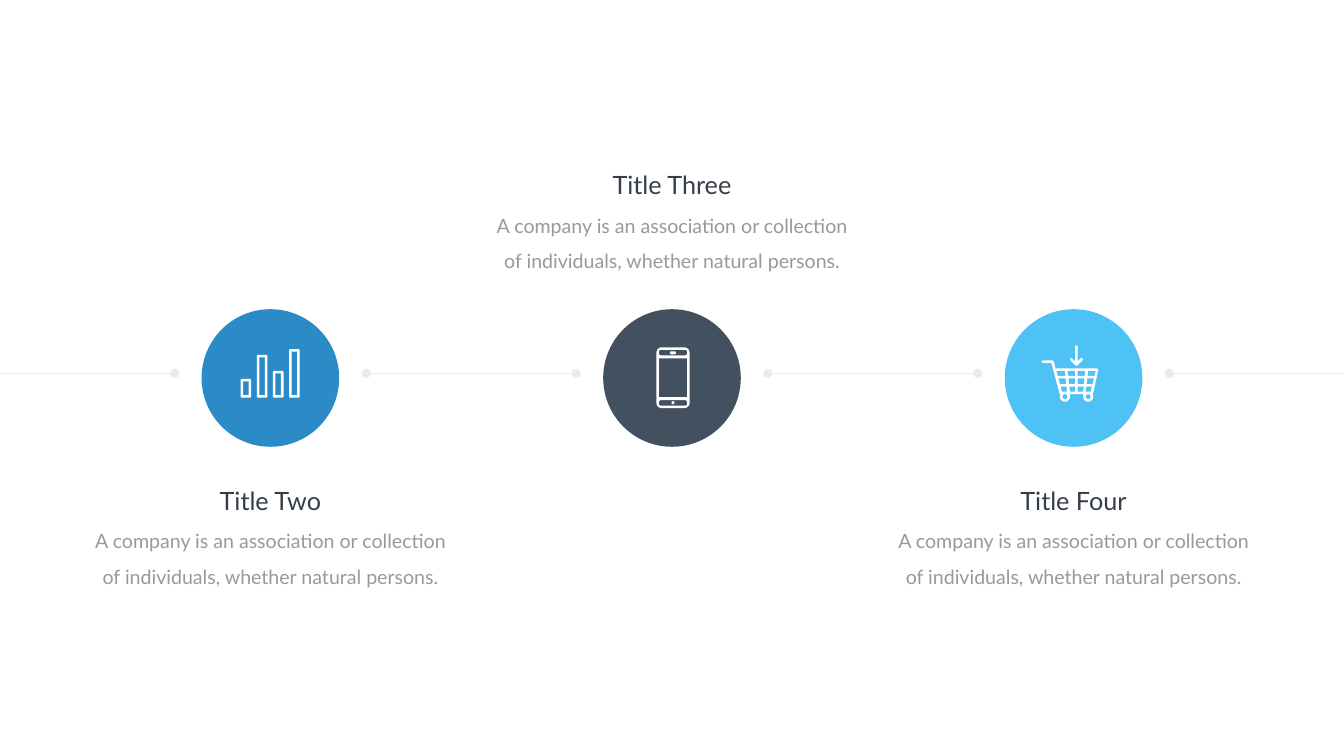
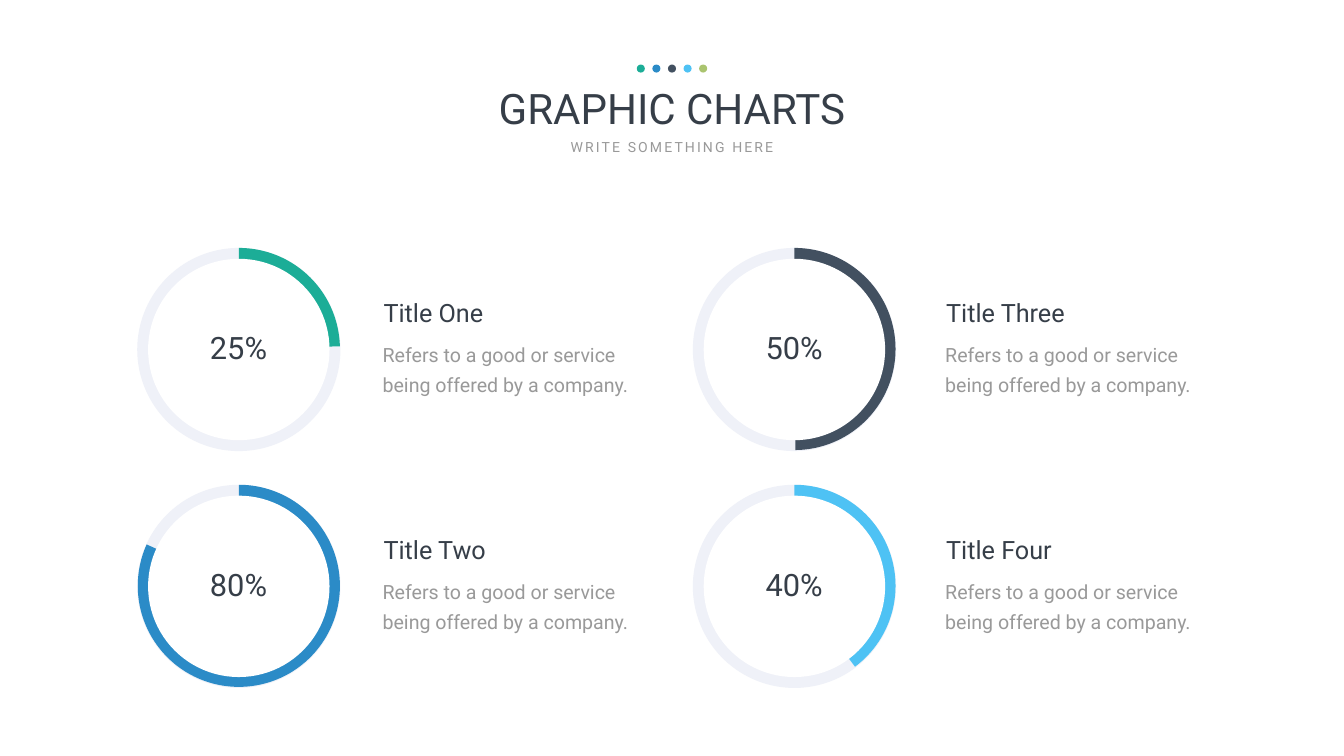
from dataclasses import dataclass
from itertools import product
from math import cos, radians, sin
from typing import Any

from lxml.etree import SubElement
from pptx import Presentation
from pptx.dml.color import RGBColor
from pptx.enum.shapes import MSO_CONNECTOR, MSO_SHAPE
from pptx.enum.text import MSO_ANCHOR, MSO_AUTO_SIZE, PP_ALIGN
from pptx.oxml.ns import qn
from pptx.util import Inches, Pt

SLIDE_WIDTH, SLIDE_HEIGHT = Inches(26.66), Inches(15)
COLUMN, ROW = SLIDE_WIDTH / 100, SLIDE_HEIGHT / 100
ICON_UNIT = Inches(0.01)

WHITE = RGBColor(0xFF, 0xFF, 0xFF)
INK = RGBColor(0x36, 0x3E, 0x48)
GREY = RGBColor(0x99, 0x99, 0x99)
LINE_GREY = RGBColor(0xEB, 0xEB, 0xEB)
TRACK = RGBColor(0xEF, 0xF1, 0xF8)
GREEN = RGBColor(0x1C, 0xAD, 0x97)
BLUE = RGBColor(0x2B, 0x8B, 0xC7)
SLATE = RGBColor(0x42, 0x50, 0x60)
SKY = RGBColor(0x4E, 0xC2, 0xF4)
OLIVE = RGBColor(0xAA, 0xC4, 0x6F)

Point = tuple[float, float]
Contour = list[Point]


@dataclass(frozen=True)
class Box:
    """A place on the slide, in columns across and rows down."""
    left: float
    top: float
    width: float
    height: float

    def emu(self) -> tuple[int, int, int, int]:
        return (round(self.left * COLUMN), round(self.top * ROW),
                round(self.width * COLUMN), round(self.height * ROW))


@dataclass(frozen=True)
class TextStyle:
    font: dict[str, Any]
    color: RGBColor
    paragraph: dict[str, Any]
    frame: dict[str, Any]
    tracking: int = 0


@dataclass(frozen=True)
class Stop:
    title: str
    color: RGBColor
    caption_top: float
    icon: list[Contour]


@dataclass(frozen=True)
class Ring:
    title: str
    percent: str
    color: RGBColor
    end_angle: float
    column: int
    row: int


def text_style(name: str, size: int, color: RGBColor, align: PP_ALIGN = PP_ALIGN.CENTER,
               wrap: bool = False, spacing: Any = None, frame: dict[str, Any] | None = None,
               tracking: int = 0) -> TextStyle:
    return TextStyle(
        {"name": name, "size": Pt(size), "bold": False}, color,
        {"alignment": align, "line_spacing": spacing, "space_before": Pt(0)},
        {"word_wrap": wrap, "auto_size": MSO_AUTO_SIZE.SHAPE_TO_FIT_TEXT,
         "vertical_anchor": MSO_ANCHOR.TOP, **(frame or {})}, tracking)


ROOMY = {"margin_left": Inches(0.24), "margin_right": Inches(0.24),
         "margin_top": Inches(0.12), "margin_bottom": Inches(0.12)}
STOP_TITLE = text_style("Lato", 36, INK)
STOP_BODY = text_style("Lato", 28, GREY, wrap=True, spacing=1.5)
HEADING = text_style("Roboto", 60, INK, wrap=True)
SUBHEADING = text_style("Roboto", 20, GREY, tracking=300)
PERCENT = text_style("Roboto", 44, INK)
RING_TITLE = text_style("Roboto", 36, INK, PP_ALIGN.LEFT, wrap=True)
RING_BODY = text_style("Roboto", 28, GREY, PP_ALIGN.LEFT, True, Pt(43), ROOMY)


def set_values(target: Any, values: dict[str, Any]) -> None:
    for name, value in values.items():
        setattr(target, name, value)


def write(shape: Any, box: Box, text: str, style: TextStyle) -> None:
    set_values(shape, dict(zip(("left", "top", "width", "height"), box.emu())))
    set_values(shape.text_frame, style.frame)
    paragraph = shape.text_frame.paragraphs[0]
    set_values(paragraph, style.paragraph)
    run = paragraph.add_run()
    run.text = text
    set_values(run.font, style.font)
    run.font.color.rgb = style.color
    if style.tracking:
        run._r.get_or_add_rPr().set("spc", str(style.tracking))


def add_text(shapes: Any, box: Box, text: str, style: TextStyle) -> None:
    write(shapes.add_textbox(*box.emu()), box, text, style)


def paint(shape: Any, color: RGBColor) -> None:
    shape.shadow.inherit = False
    shape.fill.solid()
    shape.fill.fore_color.rgb = color
    shape.line.fill.background()


def add_disc(shapes: Any, center: Point, diameter: float, color: RGBColor,
             preset: MSO_SHAPE = MSO_SHAPE.OVAL) -> Any:
    """Draw a round shape whose diameter is given in columns."""
    size = round(diameter * COLUMN)
    left, top = round(center[0] * COLUMN - size / 2), round(center[1] * ROW - size / 2)
    shape = shapes.add_shape(preset, left, top, size, size)
    paint(shape, color)
    return shape


def add_line(shapes: Any, start: float, end: float, row: float) -> None:
    line = shapes.add_connector(MSO_CONNECTOR.STRAIGHT, round(start * COLUMN), round(row * ROW),
                                round(end * COLUMN), round(row * ROW))
    line.line.color.rgb = LINE_GREY
    line.line.width = Pt(1)
    SubElement(line._element.spPr, qn("a:effectLst"))


def arc(center: Point, radius: float, start: int, end: int, steps: int = 5) -> Contour:
    angles = [radians(start + (end - start) * step / steps) for step in range(steps + 1)]
    return [(center[0] + radius * cos(angle), center[1] + radius * sin(angle))
            for angle in angles]


def rounded_box(left: float, top: float, width: float, height: float,
                radius: float = 0) -> Contour:
    right, bottom = left + width, top + height
    if not radius:
        return [(left, top), (right, top), (right, bottom), (left, bottom)]
    corners = [(left + radius, top + radius), (right - radius, top + radius),
               (right - radius, bottom - radius), (left + radius, bottom - radius)]
    return [point for turn, corner in enumerate(corners)
            for point in arc(corner, radius, 180 + 90 * turn, 270 + 90 * turn)]


def bars_icon() -> list[Contour]:
    contours = []
    for index, height in enumerate((37, 85, 53, 96)):
        left, top = -59 + 32 * index, 39 - height
        contours += [rounded_box(left, top, 21, height, 2),
                     rounded_box(left + 5, top + 5, 11, height - 10)]
    return contours


def phone_icon() -> list[Contour]:
    return [rounded_box(-31, -61, 66, 121, 11),
            rounded_box(-26, -56, 56, 11, 4),
            rounded_box(-26, -39, 56, 77),
            rounded_box(-26, 44, 56, 11, 4),
            rounded_box(-4, -53, 12, 6, 3),
            arc((2, 49), 3, 0, 360, 12)]


def cart_icon() -> list[Contour]:
    wheels = [(-17, 37), (29, 37)]
    outline = [(39, 30), (49, -16), (47, -19), (-36, -19), (-39, -33), (-42, -35), (-61, -35),
               (-64, -32), (-61, -30), (-44, -30), (-28, 30)]
    for wheel in wheels:
        outline += arc(wheel, 10, 210, -30, 16)
    arrow = [(3, -63), (6, -65), (8, -63), (8, -33), (14, -39), (16, -40), (19, -37), (18, -35),
             (8, -25), (6, -24), (4, -25), (-6, -35), (-7, -37), (-5, -40), (-3, -39), (3, -33)]
    contours = [outline, arrow] + [arc(wheel, 5, 0, 360, 12) for wheel in wheels]
    basket_top, basket_bottom = -14, 27
    top_edges = [(-34, -17), (-12, 3), (8, 23), (29, 44)]
    bottom_edges = [(-23, -13), (-7, 3), (8, 19), (24, 34)]

    def slanted(upper: float, lower: float, y: float) -> Point:
        share = (y - basket_top) / (basket_bottom - basket_top)
        return upper + (lower - upper) * share, y

    for (upper, lower), (top, bottom) in product(zip(top_edges, bottom_edges),
                                                 ((-14, -4), (1, 12), (17, 27))):
        contours.append([slanted(upper[0], lower[0], top), slanted(upper[1], lower[1], top),
                         slanted(upper[1], lower[1], bottom), slanted(upper[0], lower[0], bottom)])
    return contours


def add_icon(shapes: Any, center: Point, contours: list[Contour]) -> None:
    """Join the contours in one white outline, where inner contours become holes."""
    placed = [[(center[0] * COLUMN + x * ICON_UNIT, center[1] * ROW + y * ICON_UNIT)
               for x, y in contour] for contour in contours]
    builder = shapes.build_freeform(*placed[0][0])
    for index, contour in enumerate(placed):
        if index:
            builder.move_to(*contour[0])
        builder.add_line_segments(contour[1:], close=True)
    paint(builder.convert_to_shape(), WHITE)


def build_timeline(slide: Any) -> None:
    shapes = slide.shapes
    body = "A company is an association or collection of individuals, whether natural persons."
    stops = [Stop("Title Two", BLUE, 63.87, bars_icon()),
             Stop("Title Three", SLATE, 22.13, phone_icon()),
             Stop("Title Four", SKY, 63.87, cart_icon())]
    centers = [50 + 29.88 * step for step in (-1, 0, 1)]
    line_row, gap = 49.4, 7.13
    starts = [0] + [center + gap for center in centers]
    ends = [center - gap for center in centers] + [100]
    for start, end in zip(starts, ends):
        add_line(shapes, start, end, line_row)
    for dot in starts[1:] + ends[:-1]:
        add_disc(shapes, (dot, line_row), 0.68, LINE_GREY)
    for center, stop in zip(centers, stops):
        add_text(shapes, Box(center - 13.62, stop.caption_top + 4.27, 27.24, 9.47),
                 body, STOP_BODY)
        add_text(shapes, Box(center - 5.5, stop.caption_top, 11, 4.73), stop.title, STOP_TITLE)
        add_disc(shapes, (center, 50), 10.24, stop.color)
        add_icon(shapes, (center, 50), stop.icon)


def add_heading(slide: Any, title: str, subtitle: str) -> None:
    write(slide.shapes.title, Box(28.9, 10.6, 42.2, 7.4), title, HEADING)
    write(slide.placeholders[1], Box(41.84, 18, 16.32, 2.93), subtitle, SUBHEADING)
    dots = slide.shapes.add_group_shape().shapes
    for index, color in enumerate((GREEN, BLUE, SLATE, SKY, OLIVE)):
        add_disc(dots, (50 + 1.16 * (index - 2), 9.07), 0.6, color)


def add_ring(shapes: Any, ring: Ring) -> None:
    column, row = 17.77 + 41.34 * ring.column, 46.23 + 31.33 * ring.row
    center = (column, row)
    add_disc(shapes, center, 15.12, TRACK)
    pie = add_disc(shapes, (column, row - 0.07), 15.04, ring.color, MSO_SHAPE.PIE)
    for index, angle in enumerate((270, ring.end_angle)):
        pie.adjustments[index] = angle * 0.6
    add_disc(shapes, center, 13.5, WHITE)
    add_text(shapes, Box(column - 2.55, row - 3.03, 5.06, 5.6), ring.percent, PERCENT)
    caption = shapes.add_group_shape().shapes
    left, top = 27.57 + 41.86 * ring.column, 39 + 31.33 * ring.row
    add_text(caption, Box(left, top + 4.73, 22.43, 9.27),
             "Refers to a good or service being offered by a company.", RING_BODY)
    add_text(caption, Box(left + 0.6, top, 20.29, 4.73), ring.title, RING_TITLE)


def build_charts(slide: Any) -> None:
    add_heading(slide, "GRAPHIC CHARTS", "WRITE SOMETHING HERE")
    for ring in (Ring("Title One", "25%", GREEN, 358.47, 0, 0),
                 Ring("Title Two", "80%", BLUE, 204.18, 0, 1),
                 Ring("Title Three", "50%", SLATE, 89.4, 1, 0),
                 Ring("Title Four", "40%", SKY, 53.19, 1, 1)):
        add_ring(slide.shapes, ring)


def main() -> None:
    presentation = Presentation()
    set_values(presentation, {"slide_width": SLIDE_WIDTH, "slide_height": SLIDE_HEIGHT})
    title_layout, blank_layout = (presentation.slide_layouts[index] for index in (0, 6))
    build_timeline(presentation.slides.add_slide(blank_layout))
    build_charts(presentation.slides.add_slide(title_layout))
    presentation.save("out.pptx")


if __name__ == "__main__":
    main()
